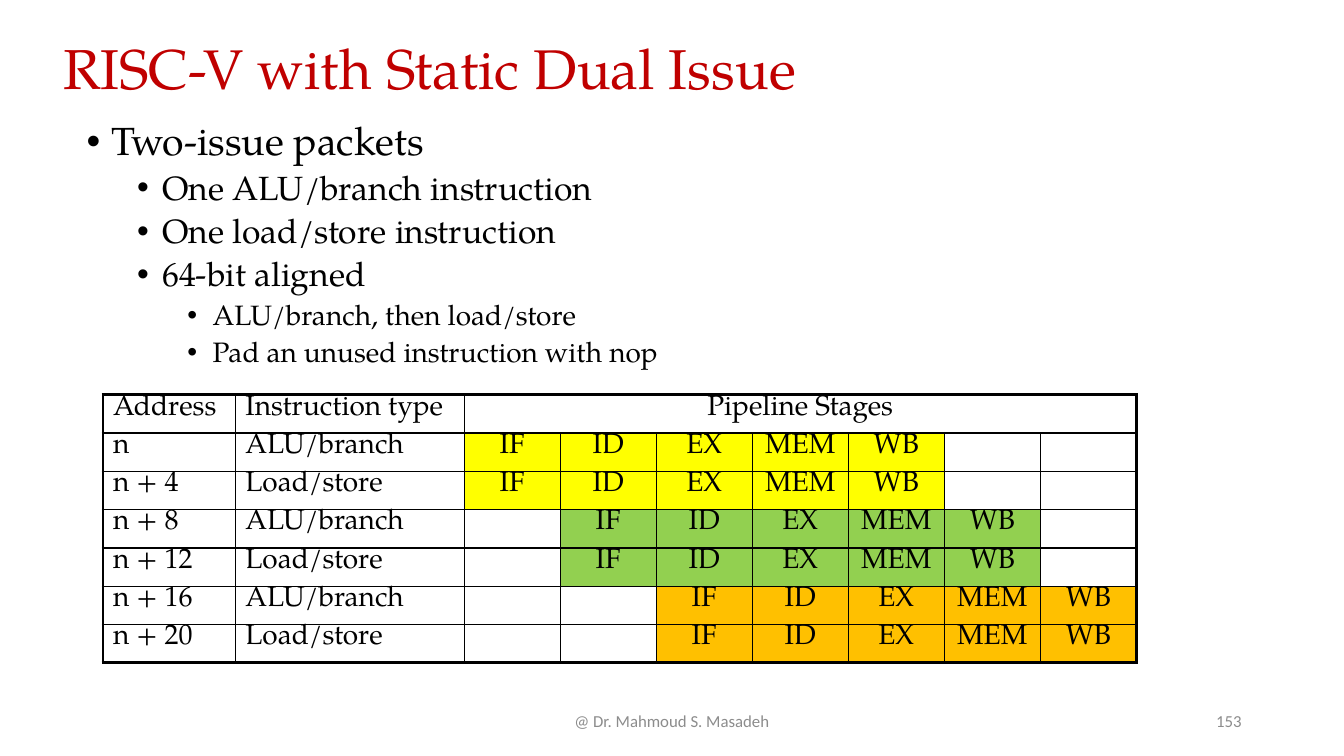
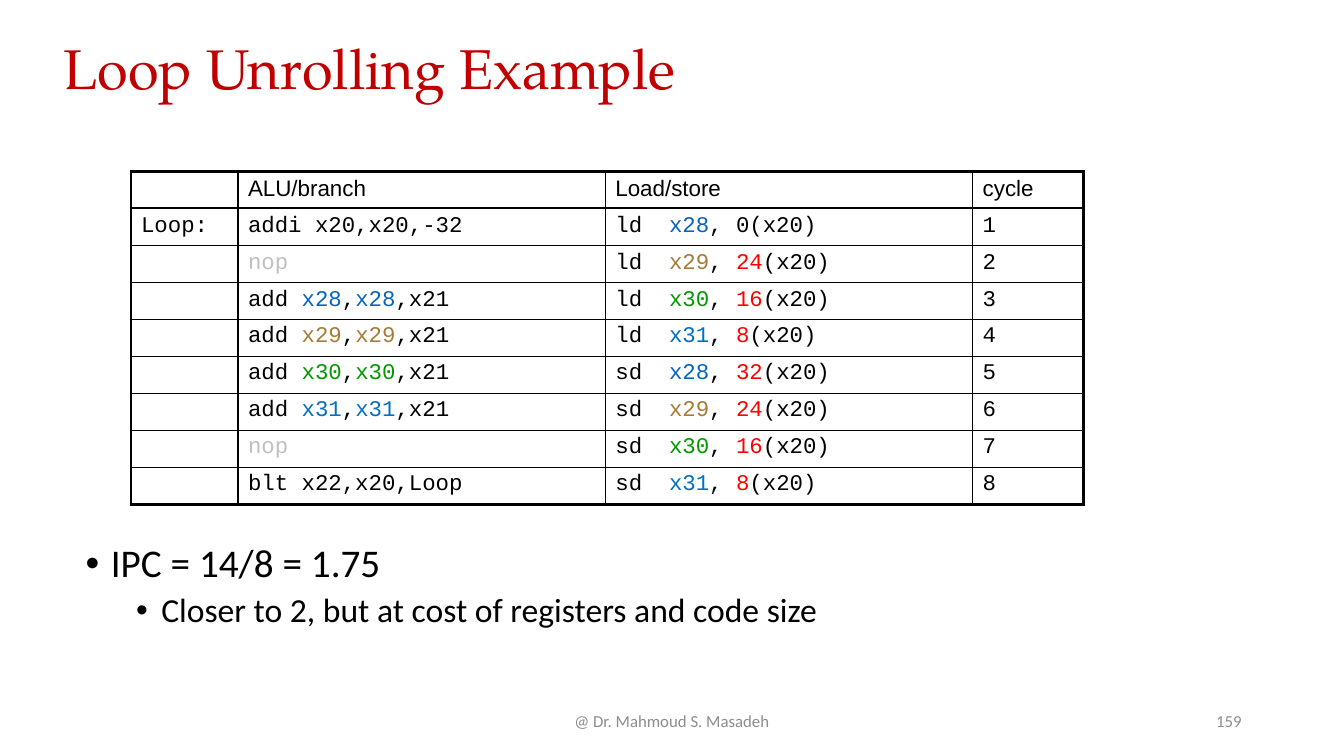
from lxml.etree import SubElement
from pptx import Presentation
from pptx.dml.color import RGBColor
from pptx.enum.text import MSO_ANCHOR as ANCHOR, MSO_AUTO_SIZE as AUTO, PP_ALIGN as ALIGN
from pptx.oxml.ns import qn
from pptx.util import Pt

SERIF, SANS, MONO = "TeX Gyre Pagella", "Calibri", "Courier New"
BLACK, RED, GREY = "000000", "C00000", "8C8C8C"
LEVEL_SIZES = [28, 24, 20]
STAGES = ["IF", "ID", "EX", "MEM", "WB"]
PACKET_FILLS = ["FFFF00", "92D050", "FFC000"]
REGISTERS = {"x28": "0563C1", "x29": "A47B38", "x30": "009900", "x31": "0070C0"}
OFFSETS = ["24", "16", "8", "32", "24", "16", "8"]
TINTS = {**REGISTERS, **dict.fromkeys(OFFSETS, "FF0000"), "nop": "C0C0C0"}


def set_font(font, name, size, color=BLACK):
    for key, value in {"name": name, "size": Pt(size)}.items():
        setattr(font, key, value)
    font.color.rgb = RGBColor.from_string(color)


def add_grid(s, left, top, widths, row_height, rows, fonts, size, margin):
    """Ruled table; a short row merges its last cell to the right edge, |x| tints x."""
    n_rows, n_cols = len(rows), len(widths)
    table = s.shapes.add_table(n_rows, n_cols, Pt(left), Pt(top), Pt(sum(widths)),
                               Pt(row_height * n_rows)).table
    table.first_row = table.horz_banding = False
    for column, width in zip(table.columns, widths):
        column.width = Pt(width)
    for i, row in enumerate(rows):
        table.rows[i].height = Pt(row_height)
        if len(row) < n_cols:
            table.cell(i, len(row) - 1).merge(table.cell(i, n_cols - 1))
        for j in range(n_cols):
            cell = table.cell(i, j)
            cell.margin_top = cell.margin_bottom = Pt(margin)
            # Borders: heavy frame, medium rule under the header
            right_edge = j == n_cols - 1 or cell.is_merge_origin
            borders = {
                "lnL": 2.25 if j == 0 else 1,
                "lnR": 2.25 if right_edge else 1,
                "lnT": {0: 2.25, 1: 1.5}.get(i, 1),
                "lnB": 2.25 if i == n_rows - 1 else 1.5 if i == 0 else 1,
            }
            for tag, width in borders.items():
                ln = SubElement(cell._tc.get_or_add_tcPr(), qn("a:" + tag), w=str(Pt(width)))
                SubElement(SubElement(ln, qn("a:solidFill")), qn("a:srgbClr"), val=BLACK)
            cell.fill.background()
            # Text
            p = cell.text_frame.paragraphs[0]
            text = row[j] if j < len(row) else ""
            for k, piece in enumerate(text.split("|")):
                if piece:
                    r = p.add_run()
                    r.text = piece
                    set_font(r.font, fonts[i > 0], size, TINTS[piece] if k % 2 else BLACK)
            if not text:
                SubElement(p._p, qn("a:endParaRPr"), sz=str(size * 100))
    return table


prs = Presentation()
prs.slide_width, prs.slide_height = Pt(960), Pt(540)

# Title, page number, body box, body font, bullets with their levels
pages = [
    ("RISC-V with Static Dual Issue", "153", (54.7, 83.5, 839, 204), SERIF, [
        (0, "Two-issue packets"),
        (1, "One ALU/branch instruction"),
        (1, "One load/store instruction"),
        (1, "64-bit aligned"),
        (2, "ALU/branch, then load/store"),
        (2, "Pad an unused instruction with nop")]),
    ("Loop Unrolling Example", "159", (54, 385, 774, 106), SANS, [
        (0, "IPC = 14/8 = 1.75"),
        (1, "Closer to 2, but at cost of registers and code size")]),
]

for title, number, body_box, body_font, bullets in pages:
    s = prs.slides.add_slide(prs.slide_layouts[1])
    body = s.placeholders[1]
    for sp, box in [(s.shapes.title, (38, 29, 887, 44.6)), (body, body_box)]:
        sp.left, sp.top, sp.width, sp.height = map(Pt, box)
        sp.text_frame.auto_size = AUTO.NONE

    # Title
    tf = s.shapes.title.text_frame
    tf.vertical_anchor = ANCHOR.MIDDLE
    p = tf.paragraphs[0]
    p.alignment, p.line_spacing = ALIGN.LEFT, 0.9
    r = p.add_run()
    r.text = title
    set_font(r.font, SERIF, 40, RED)

    # Bullets
    tf = body.text_frame
    for i, (level, text) in enumerate(bullets):
        p = tf.add_paragraph() if i else tf.paragraphs[0]
        p.level, p.line_spacing = level, 0.9
        p.space_before = Pt(5 if i else 0)
        pPr = p._p.get_or_add_pPr()
        pPr.set("marL", str(Pt(18 + 36 * level)))
        pPr.set("indent", str(Pt(-18)))
        SubElement(pPr, qn("a:buFont"), typeface="Arial")
        SubElement(pPr, qn("a:buChar"), char="•")
        r = p.add_run()
        r.text = text
        set_font(r.font, body_font, LEVEL_SIZES[level])

    # Footer and page number
    for text, left, width, align in [("@ Dr. Mahmoud S. Masadeh", 318, 324, ALIGN.CENTER),
                                     (number, 678, 216, ALIGN.RIGHT)]:
        tf = s.shapes.add_textbox(Pt(left), Pt(500.5), Pt(width), Pt(28.8)).text_frame
        tf.word_wrap, tf.vertical_anchor = True, ANCHOR.MIDDLE
        p = tf.paragraphs[0]
        p.alignment = align
        r = p.add_run()
        r.text = text
        set_font(r.font, SANS, 12, GREY)

# Pipeline table: each packet of two instructions starts one stage later
rows = [["Address", "Instruction type", "Pipeline Stages"]]
for i in range(6):
    shift = i // 2
    rows.append([f"n + {4 * i}" if i else "n", ["ALU/branch", "Load/store"][i % 2],
                 *[""] * shift, *STAGES, *[""] * (2 - shift)])
table = add_grid(prs.slides[0], 73.6, 282, [94.5, 163.5] + [68.6] * 7, 27.36,
                 rows, (SERIF, SERIF), 20, 0)
table.cell(0, 2).text_frame.paragraphs[0].alignment = ALIGN.CENTER
for i in range(1, 7):
    packet = (i - 1) // 2
    for j in range(len(STAGES)):
        cell = table.cell(i, 2 + packet + j)
        cell.text_frame.paragraphs[0].alignment = ALIGN.CENTER
        cell.fill.solid()
        cell.fill.fore_color.rgb = RGBColor.from_string(PACKET_FILLS[packet])

# Unrolled loop schedule
alu = ["addi x20,x20,-32", "|nop|", *[f"add |{x}|,|{x}|,x21" for x in REGISTERS],
       "|nop|", "blt x22,x20,Loop"]
memory = ["ld  |x28|, 0(x20)"]
for i, offset in enumerate(OFFSETS, 1):
    memory.append(f"{'ld' if i < 4 else 'sd'}  |{list(REGISTERS)[i % 4]}|, |{offset}|(x20)")
rows = [["", "ALU/branch", "Load/store", "cycle"]]
for i, (left_op, right_op) in enumerate(zip(alu, memory), 1):
    rows.append(["Loop:" if i == 1 else "", left_op, right_op, str(i)])
add_grid(prs.slides[1], 93.6, 122.4, [76.4, 262.4, 262.4, 79.2], 26.4,
         rows, ("Arial", MONO), 16, 3.6)

prs.save("out.pptx")
